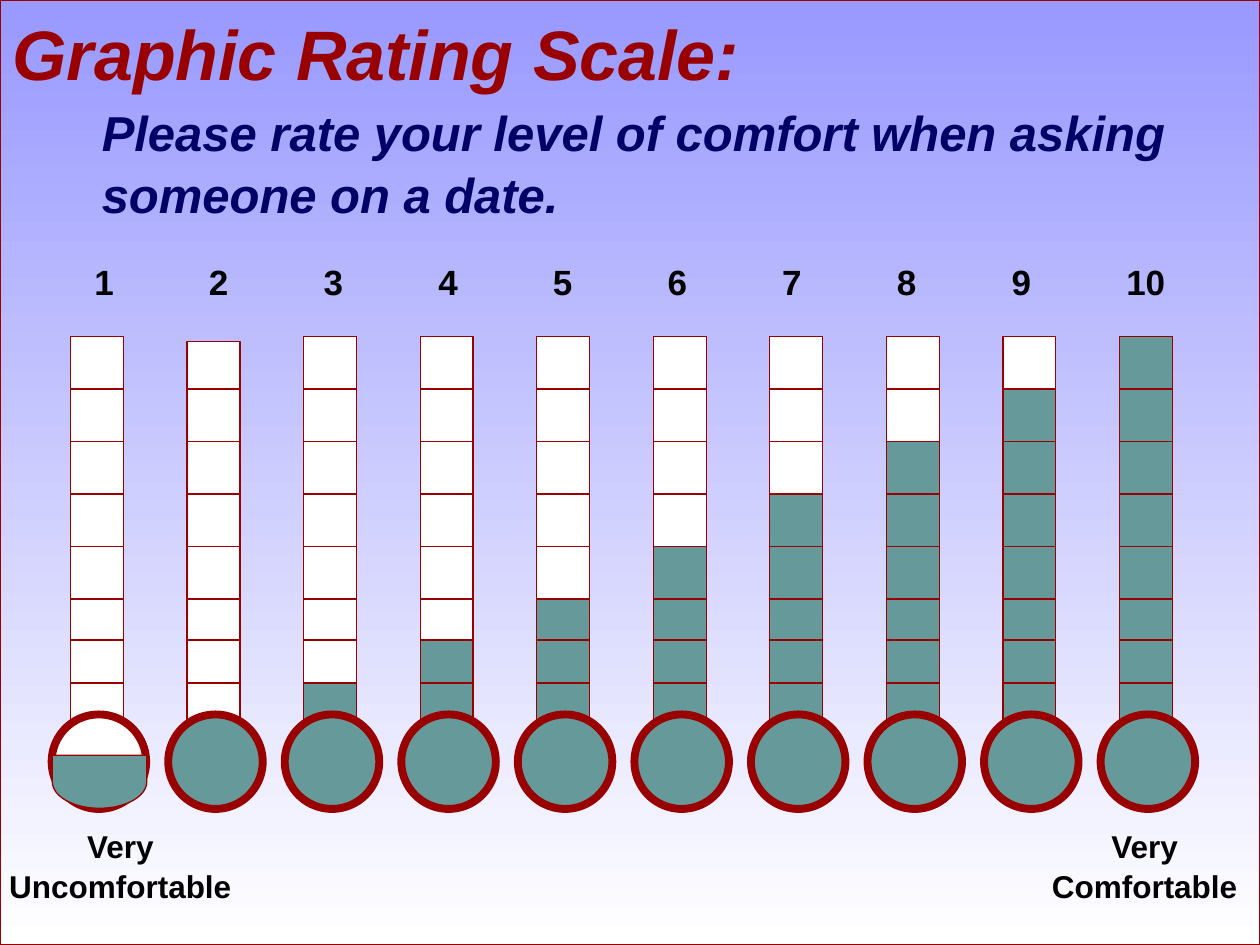
from pptx import Presentation
from pptx.dml.color import RGBColor
from pptx.enum.shapes import MSO_SHAPE
from pptx.enum.text import MSO_ANCHOR, MSO_AUTO_SIZE, PP_ALIGN
from pptx.util import Inches, Pt

TEAL, WHITE, MAROON, NAVY, BLACK = "669999", "FFFFFF", "990000", "000066", "000000"
LEVELS = 10
CELL = 0.42
CELL_TOPS = [2.67 + 1.25 / 3 * row for row in range(6)] + [5.08, 5.42]
TUBE_LEFT, TUBE_STEP = 0.56, 0.925
NUMBER_LEFT, NUMBER_STEP = 0.65, 0.91


def color(hex_value):
    return RGBColor.from_string(hex_value)


def add_outlined(shapes, preset, left, top, width, height, fill=None, line_width=0.75):
    outlined = shapes.add_shape(
        preset, Inches(left), Inches(top), Inches(width), Inches(height))
    outlined.shadow.inherit = False
    outlined.line.color.rgb = color(MAROON)
    outlined.line.width = Pt(line_width)
    if fill:
        outlined.fill.solid()
        outlined.fill.fore_color.rgb = color(fill)
    return outlined


def add_backdrop(shapes):
    backdrop = add_outlined(shapes, MSO_SHAPE.RECTANGLE, 0, 0, 10, 7.5)
    backdrop.fill.gradient()
    backdrop.fill.gradient_angle = 270
    for stop, position, shade in zip(backdrop.fill.gradient_stops, (0, 1), ("9999FF", WHITE)):
        stop.position = position
        stop.color.rgb = color(shade)


def add_thermometer(shapes, level):
    """Draw one tube and bulb; from level 3 up, level - 2 cells are filled."""
    left = TUBE_LEFT + TUBE_STEP * (level - 1)
    empty_cells = len(CELL_TOPS) - max(level - 2, 0)
    for row, top in enumerate(CELL_TOPS):
        if level == 2 and row == 0:
            top += 0.04
        fill = WHITE if row < empty_cells else TEAL
        add_outlined(shapes, MSO_SHAPE.RECTANGLE, left, top, CELL, CELL, fill)
    bulb_fill = WHITE if level == 1 else TEAL
    add_outlined(shapes, MSO_SHAPE.OVAL, left - 0.15, 5.67, 0.75, 0.75, bulb_fill, 4.5)
    if level == 1:
        half_full = add_outlined(
            shapes, MSO_SHAPE.FLOWCHART_DELAY, 0.58, 5.83, CELL, 0.75, TEAL)
        half_full.rotation = 90


def write_text(holder, lines, size, ink=BLACK, italic=False,
               align=PP_ALIGN.LEFT, wrap=True):
    frame = holder.text_frame
    frame.text = "\n".join(lines)
    frame.word_wrap = wrap
    frame.auto_size = MSO_AUTO_SIZE.NONE
    frame.vertical_anchor = MSO_ANCHOR.TOP
    font_format = {"name": "Arial", "size": Pt(size), "bold": True, "italic": italic}
    for paragraph in frame.paragraphs:
        paragraph.alignment = align
        paragraph.line_spacing = 1.05
        for attribute, value in font_format.items():
            setattr(paragraph.font, attribute, value)
        paragraph.font.color.rgb = color(ink)


def add_label(shapes, left, top, width, height, lines, size, **text_format):
    label = shapes.add_textbox(Inches(left), Inches(top), Inches(width), Inches(height))
    write_text(label, lines, size, **text_format)


def place_title(title):
    box = {"left": 0, "top": 0, "width": 9.31, "height": 0.77}
    for side, length in box.items():
        setattr(title, side, Inches(length))
    write_text(title, ["Graphic Rating Scale:"], 40, ink=MAROON, italic=True)
    # Bring the title in front of the backdrop
    title.element.getparent().append(title.element)


def main():
    presentation = Presentation()
    presentation.slide_width, presentation.slide_height = Inches(10), Inches(7.5)
    slide = presentation.slides.add_slide(presentation.slide_layouts[5])
    shapes = slide.shapes

    add_backdrop(shapes)
    for level in range(1, LEVELS + 1):
        at_end = level in (1, LEVELS)
        add_thermometer(shapes.add_group_shape().shapes if at_end else shapes, level)
    for level in range(1, LEVELS + 1):
        add_label(shapes, NUMBER_LEFT + NUMBER_STEP * (level - 1), 2,
                  0.51 if level == LEVELS else 0.35, 0.44, [str(level)], 20, wrap=False)

    for left, width, feeling in ((-0.17, 2.25, "Uncomfortable"), (8.25, 1.67, "Comfortable")):
        add_label(shapes, left, 6.5, width, 0.7, ["Very", feeling], 18,
                  align=PP_ALIGN.CENTER)
    place_title(shapes.title)
    add_label(shapes, 0.71, 0.74, 9, 1.04,
              ["Please rate your level of comfort when asking someone on a date."],
              28, ink=NAVY, italic=True)

    presentation.save("out.pptx")


if __name__ == "__main__":
    main()
